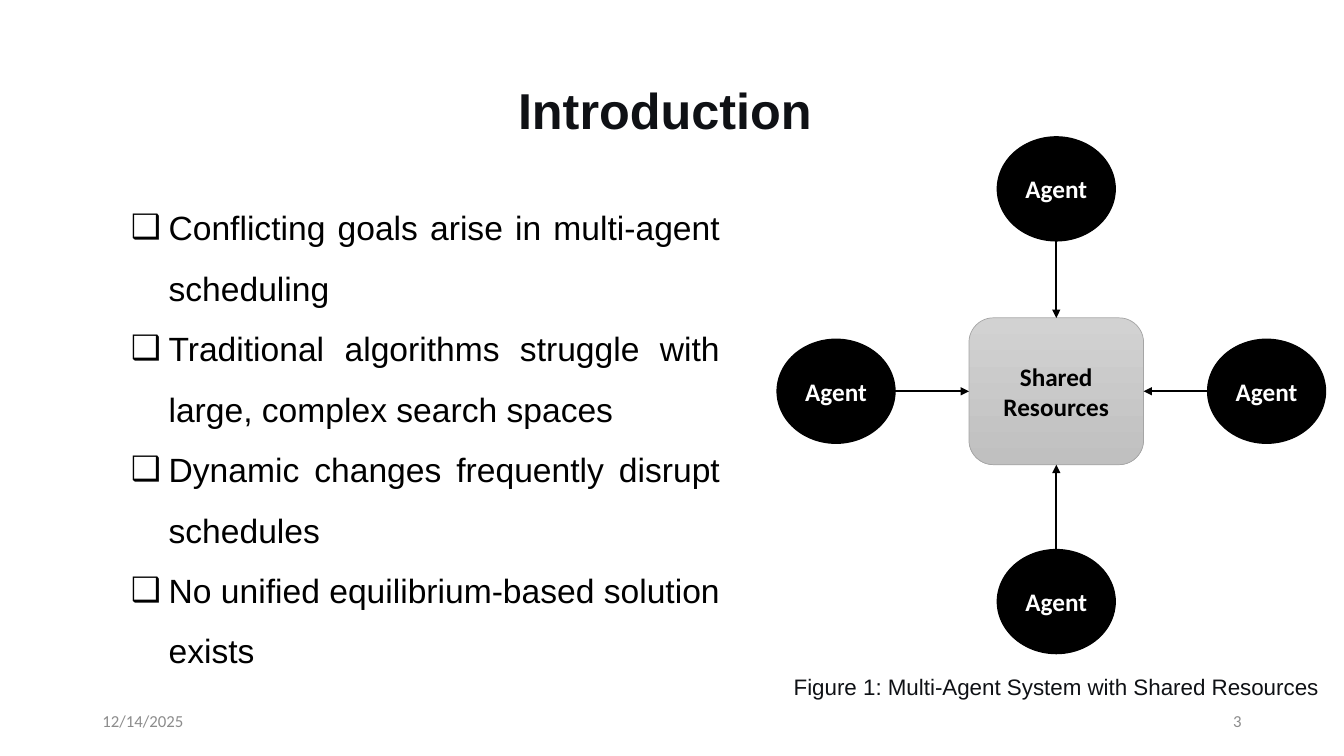
import pptx
import pptx.util
import pptx.dml.color
import pptx.enum.shapes
import pptx.enum.text
import pptx.oxml.ns
import lxml.etree

Cm, Pt = pptx.util.Cm, pptx.util.Pt
align = pptx.enum.text.PP_ALIGN
anchor = pptx.enum.text.MSO_ANCHOR
shapes = pptx.enum.shapes.MSO_SHAPE
qn = pptx.oxml.ns.qn
colors = {"black": "000000", "white": "FFFFFF", "ink": "0F1115", "gray": "8C8C8C",
          "edge": "A5A5A5", "light": "D2D2D2", "dark": "C0C0C0"}


def rgb(name):
    return pptx.dml.color.RGBColor.from_string(colors[name])


def write(shape, *lines, font="Arial", size=18, color="black", bold=False,
          side=align.CENTER, hold=anchor.MIDDLE, space=1.0, bullet=None):
    frame = shape.text_frame
    frame.word_wrap = True
    frame.vertical_anchor = hold
    for i, line in enumerate(lines):
        para = frame.add_paragraph() if i else frame.paragraphs[0]
        para.alignment = side
        para.line_spacing = space
        if bullet:
            props = para._p.get_or_add_pPr()
            props.set("marL", str(Cm(0.95)))
            props.set("indent", str(-Cm(0.95)))
            lxml.etree.SubElement(props, qn("a:buFont")).set("typeface", "Arial")
            lxml.etree.SubElement(props, qn("a:buChar")).set("char", bullet)
        run = para.add_run()
        run.text = line
        run.font.name, run.font.size, run.font.bold = font, Pt(size), bold
        run.font.color.rgb = rgb(color)


deck = pptx.Presentation()
deck.slide_width, deck.slide_height = Cm(33.87), Cm(19.05)
slide = deck.slides.add_slide(deck.slide_layouts[5])
items = slide.shapes

# Title
title = items.title
title.left, title.top, title.width, title.height = Cm(2.33), Cm(1.01), Cm(29.21), Cm(3.68)
write(title, "Introduction ", size=36, color="ink", bold=True, space=0.9)

# Shared resources in the middle
midx, midy = 26.62, 9.86
hubw, hubh = 4.4, 3.7
hub = items.add_shape(shapes.ROUNDED_RECTANGLE, Cm(midx - hubw / 2), Cm(midy - hubh / 2),
                      Cm(hubw), Cm(hubh))
hub.shadow.inherit = False
hub.fill.gradient()
hub.fill.gradient_angle = 270
for stop, tone in zip(hub.fill.gradient_stops, ("light", "dark")):
    stop.color.rgb = rgb(tone)
hub.line.color.rgb = rgb("edge")
hub.line.width = Pt(0.5)
write(hub, "Shared Resources", font="Calibri", bold=True)

# Agents around it: direction, distance, side of the hub
wide, high = 2.97, 2.62
for dx, dy, dist, site in ((0, -1, 5.1, 0), (-1, 0, 5.55, 1), (0, 1, 5.3, 2), (1, 0, 5.3, 3)):
    x, y = midx + dx * dist, midy + dy * dist
    agent = items.add_shape(shapes.OVAL, Cm(x - wide / 2), Cm(y - high / 2), Cm(wide), Cm(high))
    agent.shadow.inherit = False
    agent.fill.solid()
    agent.fill.fore_color.rgb = rgb("black")
    agent.line.color.rgb = rgb("black")
    agent.line.width = Pt(1)
    write(agent, "Agent", font="Calibri", color="white", bold=True)

    # Arrow from the agent to the hub
    arrow = items.add_connector(pptx.enum.shapes.MSO_CONNECTOR.STRAIGHT,
                                Cm(x - dx * wide / 2), Cm(y - dy * high / 2), Cm(midx), Cm(midy))
    arrow.end_connect(hub, site)
    arrow.line.color.rgb = rgb("black")
    arrow.line.width = Pt(1.5)
    lxml.etree.SubElement(arrow.line._get_or_add_ln(), qn("a:tailEnd")).set("type", "triangle")
    lxml.etree.SubElement(arrow._element.spPr, qn("a:effectLst"))

# Date and slide number
for text, left, side in (("12/14/2025", 2.33, align.LEFT), ("3", 23.92, align.RIGHT)):
    foot = items.add_textbox(Cm(left), Cm(17.66), Cm(7.62), Cm(1.01))
    write(foot, text, font="Calibri", size=12, color="gray", side=side)

# Bullet points
body = items.add_textbox(Cm(3.05), Cm(4.62), Cm(15.34), Cm(12.37))
write(body,
      "Conflicting goals arise in multi-agent scheduling",
      "Traditional algorithms struggle with large, complex search spaces",
      "Dynamic changes frequently disrupt schedules",
      "No unified equilibrium-based solution exists",
      size=24, side=align.JUSTIFY, space=1.5, bullet="❑")

# Caption
note = items.add_textbox(Cm(18.16), Cm(16.84), Cm(16.92), Cm(0.94))
write(note, "Figure 1: Multi-Agent System with Shared Resources", size=16, color="ink",
      hold=anchor.TOP)

deck.save("out.pptx")
